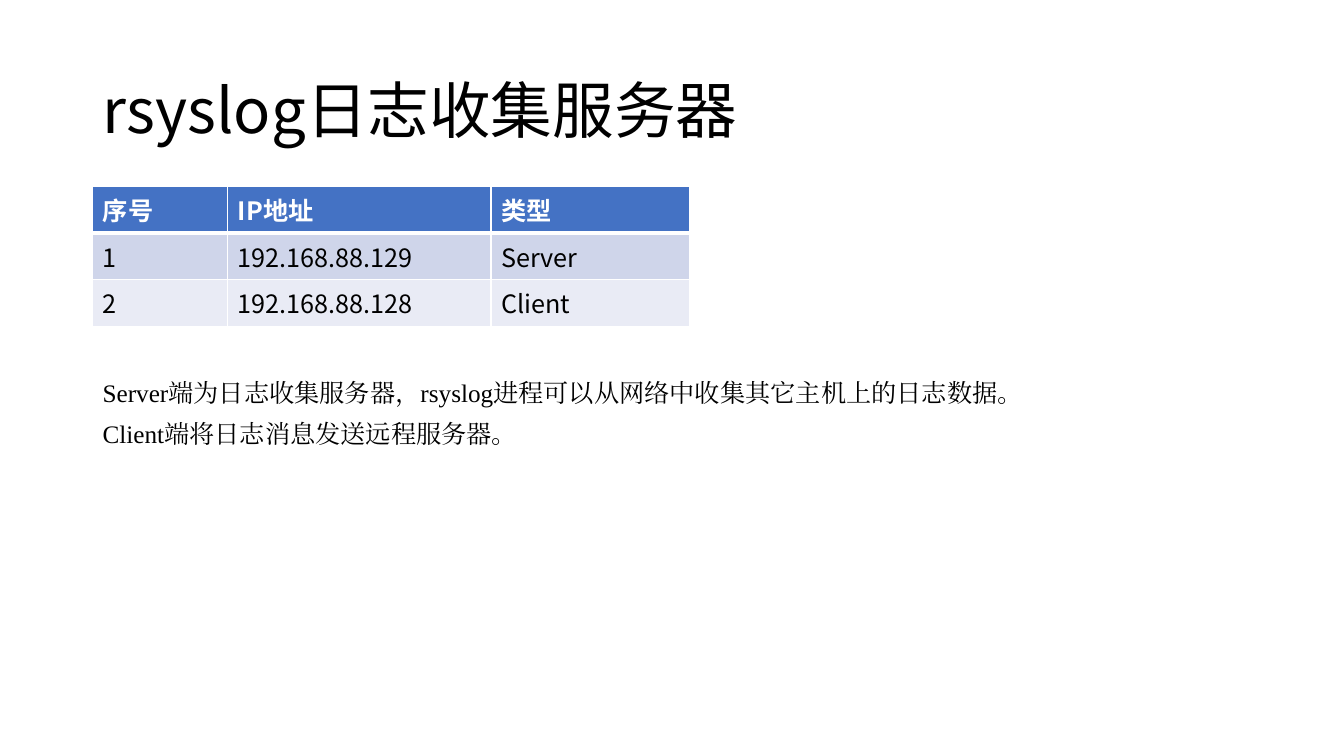
from lxml import etree
from pptx import Presentation
from pptx.dml.color import RGBColor
from pptx.enum import text
from pptx.oxml import ns
from pptx.util import Inches, Pt

BLACK = RGBColor(0x00, 0x00, 0x00)
WHITE = RGBColor(0xFF, 0xFF, 0xFF)
HEADER_BLUE = RGBColor(0x44, 0x72, 0xC4)
BANDS = [RGBColor(0xCF, 0xD5, 0xEA), RGBColor(0xE9, 0xEB, 0xF5)]
SANS = "Noto Sans CJK SC"
SERIF = "Times New Roman"


class SlideBuilder:
    """Holds the text style and the current slide."""

    def __init__(self, slide, size=18):
        self.slide = slide
        self.size = size

    def run(self, paragraph, words, font, color=BLACK, size=None, bold=False):
        run = paragraph.add_run()
        run.text = words
        run.font.name = font
        run.font.size = Pt(size or self.size)
        run.font.bold = bold
        run.font.color.rgb = color
        # East Asian characters take the same typeface
        properties = run.font._element
        east_asian = etree.SubElement(properties, ns.qn("a:ea"))
        east_asian.set("typeface", font)

    def title(self, words, left, top, width, height):
        heading = self.slide.shapes.title
        heading.left, heading.top = Inches(left), Inches(top)
        heading.width, heading.height = Inches(width), Inches(height)
        heading.text_frame.vertical_anchor = text.MSO_ANCHOR.MIDDLE
        paragraph = heading.text_frame.paragraphs[0]
        paragraph.alignment = text.PP_ALIGN.LEFT
        paragraph.line_spacing = 0.9
        self.run(paragraph, words, SANS, size=44)

    def border(self, cell, side, width):
        line = etree.Element(ns.qn(f"a:ln{side}"), w=str(Pt(width)))
        fill = etree.SubElement(line, ns.qn("a:solidFill"))
        etree.SubElement(fill, ns.qn("a:srgbClr"), val=str(WHITE))
        return line

    def table(self, rows, left, top, widths, row_height):
        frame = self.slide.shapes.add_table(
            len(rows), len(widths), Inches(left), Inches(top),
            Inches(sum(widths)), Inches(row_height * len(rows)))
        grid = frame.table
        for column, width in zip(grid.columns, widths):
            column.width = Inches(width)
        for r, row in enumerate(rows):
            header = r == 0
            for c, words in enumerate(row):
                cell = grid.cell(r, c)
                cell.fill.solid()
                cell.fill.fore_color.rgb = HEADER_BLUE if header else BANDS[(r - 1) % 2]
                self.run(cell.text_frame.paragraphs[0], words, SANS,
                         WHITE if header else BLACK, bold=header)
                # Borders stand before the fill; the header rule is thicker
                rules = {"L": 1, "R": 1, "T": 3 if r == 1 else 1, "B": 3 if header else 1}
                for place, (side, width) in enumerate(rules.items()):
                    cell._tc.tcPr.insert(place, self.border(cell, side, width))

    def body(self, lines, left, top, width, height):
        box = self.slide.shapes.add_textbox(
            Inches(left), Inches(top), Inches(width), Inches(height))
        frame = box.text_frame
        frame.word_wrap = True
        for i, words in enumerate(lines):
            paragraph = frame.add_paragraph() if i else frame.paragraphs[0]
            paragraph.line_spacing = 0.9
            paragraph.space_before = Pt(10 if i else 0)
            self.run(paragraph, words, SERIF)


def main():
    deck = Presentation()
    deck.slide_width, deck.slide_height = Inches(13.33), Inches(7.5)
    builder = SlideBuilder(deck.slides.add_slide(deck.slide_layouts[5]))

    # Title
    builder.title("rsyslog日志收集服务器", 0.92, 0.4, 11.5, 1.45)

    # Hosts
    hosts = [
        ["序号", "IP地址", "类型"],
        ["1", "192.168.88.129", "Server"],
        ["2", "192.168.88.128", "Client"],
    ]
    builder.table(hosts, 0.92, 1.85, [1.34, 2.61, 1.97], 0.46)

    # Roles of the two hosts
    roles = [
        "Server端为日志收集服务器，rsyslog进程可以从网络中收集其它主机上的日志数据。",
        "Client端将日志消息发送远程服务器。",
    ]
    builder.body(roles, 0.92, 3.73, 11.5, 3.03)

    deck.save("out.pptx")


if __name__ == "__main__":
    main()
